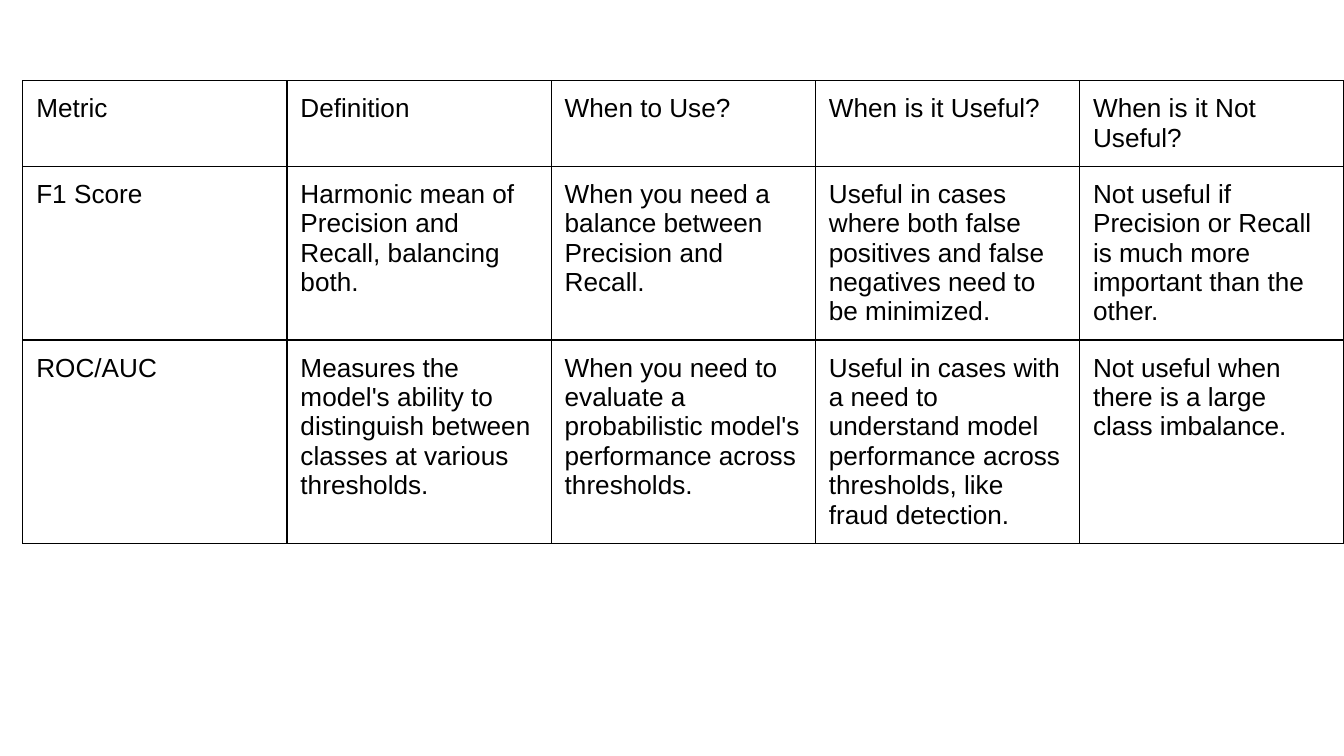
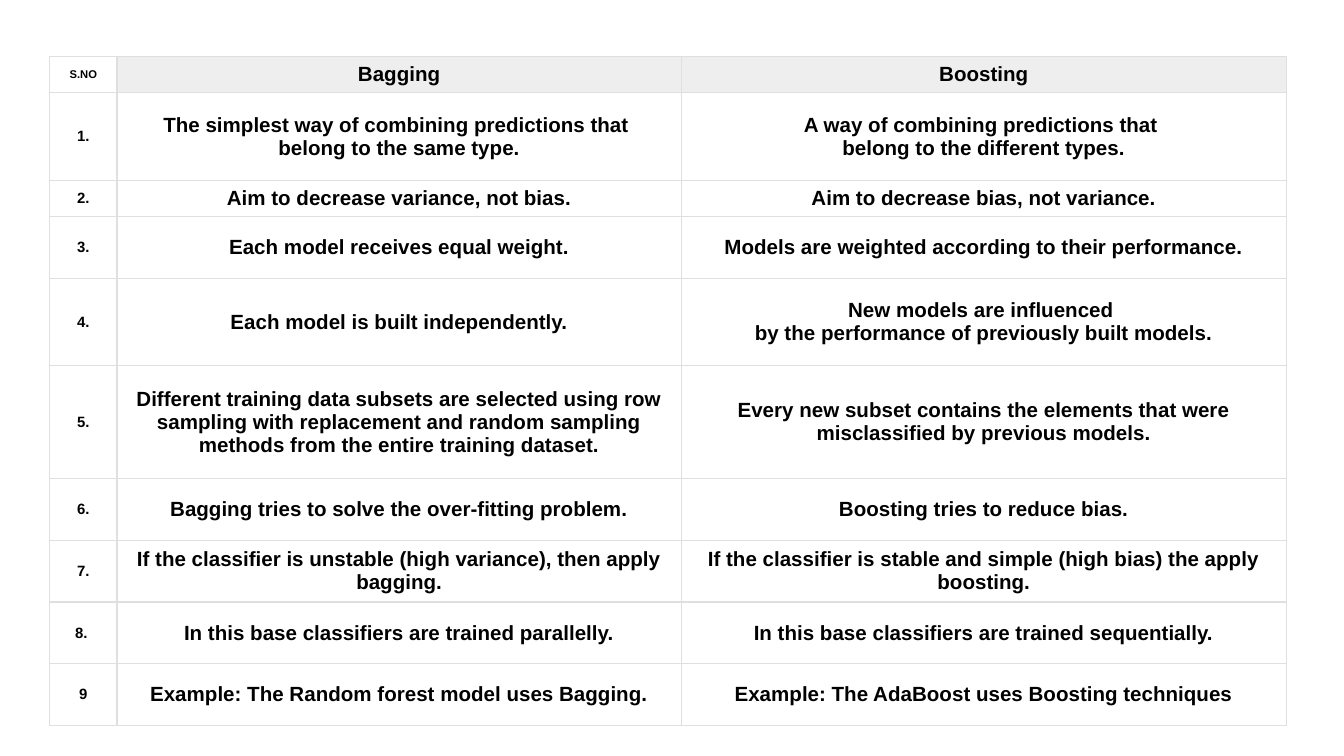
from dataclasses import dataclass

from lxml import etree
from pptx import Presentation
from pptx.dml.color import RGBColor
from pptx.enum.text import MSO_ANCHOR, PP_ALIGN
from pptx.oxml.ns import qn
from pptx.presentation import Presentation as Deck
from pptx.table import _Cell
from pptx.util import Inches, Pt

LEFT, CENTER = PP_ALIGN.LEFT, PP_ALIGN.CENTER
TOP, MIDDLE = MSO_ANCHOR.TOP, MSO_ANCHOR.MIDDLE

SLIDE_WIDTH = 10
SLIDE_HEIGHT = SLIDE_WIDTH * 9 / 16
BLANK_LAYOUT = 6
FONT = "Arial"
BORDER_WIDTH = Pt(0.75)
COLORS = {
    "text": "000000",
    "grid": "000000",
    "soft_grid": "DFDFDF",
    "paper": "FFFFFF",
    "heading": "EEEEEE",
}


@dataclass(frozen=True)
class CellStyle:
    size: float
    inset_x: float
    inset_y: float
    bold: bool = False
    align: PP_ALIGN = LEFT
    anchor: MSO_ANCHOR = TOP
    fill: str | None = None


@dataclass(frozen=True)
class TableSpec:
    left: float
    top: float
    columns: list[float]
    rows: list[float]
    border: str
    texts: list[tuple[str, ...]]
    styles: list[list[CellStyle]]


def centered(size: float, inset_x: float, inset_y: float, fill: str = "paper") -> CellStyle:
    return CellStyle(size, inset_x, inset_y, True, CENTER, MIDDLE, fill)


# Metrics table: one style, equal columns
METRICS = [
    ("Metric", "Definition", "When to Use?", "When is it Useful?", "When is it Not Useful?"),
    (
        "F1 Score",
        "Harmonic mean of Precision and Recall, balancing both.",
        "When you need a balance between Precision and Recall.",
        "Useful in cases where both false positives and false negatives need to be minimized.",
        "Not useful if Precision or Recall is much more important than the other.",
    ),
    (
        "ROC/AUC",
        "Measures the model's ability to distinguish between classes at various thresholds.",
        "When you need to evaluate a probabilistic model's performance across thresholds.",
        "Useful in cases with a need to understand model performance across thresholds, "
        "like fraud detection.",
        "Not useful when there is a large class imbalance.",
    ),
]
METRIC_STYLE = CellStyle(14, 0.1, 0.1)
METRICS_TABLE = TableSpec(
    left=0.17,
    top=0.6,
    columns=[(SLIDE_WIDTH - 0.17) / 5] * 5,
    rows=[0.23, 0.62, 0.83],
    border="grid",
    texts=METRICS,
    styles=[[METRIC_STYLE] * 5] * 3,
)

# Bagging and boosting table: shaded headings, narrow number column
COMPARISON = [
    ("S.NO", "Bagging", "Boosting"),
    (
        "1.",
        "The simplest way of combining predictions that \nbelong to the same type.",
        "A way of combining predictions that \nbelong to the different types.",
    ),
    ("2.", "Aim to decrease variance, not bias.", "Aim to decrease bias, not variance."),
    (
        "3.",
        "Each model receives equal weight.",
        "Models are weighted according to their performance.",
    ),
    (
        "4.",
        "Each model is built independently.",
        "New models are influenced \nby the performance of previously built models.",
    ),
    (
        "5.",
        "Different training data subsets are selected using row sampling with replacement "
        "and random sampling methods from the entire training dataset.",
        "Every new subset contains the elements that were misclassified by previous models.",
    ),
    (
        "6.",
        "Bagging tries to solve the over-fitting problem.",
        "Boosting tries to reduce bias.",
    ),
    (
        "7.",
        "If the classifier is unstable (high variance), then apply bagging.",
        "If the classifier is stable and simple (high bias) the apply boosting.",
    ),
    (
        "8. ",
        "In this base classifiers are trained parallelly.",
        "In this base classifiers are trained sequentially.",
    ),
    (
        "9",
        "Example: The Random forest model uses Bagging.",
        "Example: The AdaBoost uses Boosting techniques",
    ),
]
HEADING_STYLES = [centered(6, 0.02, 0.05)] + [centered(11, 0.05, 0.05, "heading")] * 2
BODY_STYLES = [centered(8, 0.02, 0.03)] + [centered(11, 0.03, 0.03)] * 2
COMPARISON_TABLE = TableSpec(
    left=0.37,
    top=0.42,
    columns=[0.5, 4.2, 4.5],
    rows=[0.27, 0.65, 0.27, 0.46, 0.65, 0.84] + [0.46] * 4,
    border="soft_grid",
    texts=COMPARISON,
    styles=[HEADING_STYLES] + [BODY_STYLES] * 9,
)


def add_borders(cell: _Cell, color: str) -> None:
    properties = cell._tc.get_or_add_tcPr()
    for index, side in enumerate(("lnL", "lnR", "lnT", "lnB")):
        line = etree.Element(qn(f"a:{side}"), w=str(int(BORDER_WIDTH)))
        fill = etree.SubElement(line, qn("a:solidFill"))
        etree.SubElement(fill, qn("a:srgbClr"), val=COLORS[color])
        properties.insert(index, line)


def fill_cell(cell: _Cell, text: str, style: CellStyle, border: str) -> None:
    cell.margin_left = cell.margin_right = Inches(style.inset_x)
    cell.margin_top = cell.margin_bottom = Inches(style.inset_y)
    cell.vertical_anchor = style.anchor
    if style.fill:
        cell.fill.solid()
        cell.fill.fore_color.rgb = RGBColor.from_string(COLORS[style.fill])
    else:
        cell.fill.background()
    add_borders(cell, border)

    paragraph = cell.text_frame.paragraphs[0]
    paragraph.text = text
    paragraph.alignment = style.align
    paragraph.font.name = FONT
    paragraph.font.size = Pt(style.size)
    paragraph.font.bold = style.bold
    paragraph.font.color.rgb = RGBColor.from_string(COLORS["text"])


def add_table_slide(presentation: Deck, spec: TableSpec) -> None:
    slide = presentation.slides.add_slide(presentation.slide_layouts[BLANK_LAYOUT])
    shape = slide.shapes.add_table(
        len(spec.rows),
        len(spec.columns),
        Inches(spec.left),
        Inches(spec.top),
        Inches(sum(spec.columns)),
        Inches(sum(spec.rows)),
    )
    table = shape.table
    table.first_row = table.horz_banding = False
    for column, width in zip(table.columns, spec.columns):
        column.width = Inches(width)
    for row, height, texts, styles in zip(table.rows, spec.rows, spec.texts, spec.styles):
        row.height = Inches(height)
        for cell, text, style in zip(row.cells, texts, styles):
            fill_cell(cell, text, style, spec.border)


def main() -> None:
    presentation = Presentation()
    presentation.slide_width = Inches(SLIDE_WIDTH)
    presentation.slide_height = Inches(SLIDE_HEIGHT)
    for spec in (METRICS_TABLE, COMPARISON_TABLE):
        add_table_slide(presentation, spec)
    presentation.save("out.pptx")


if __name__ == "__main__":
    main()
